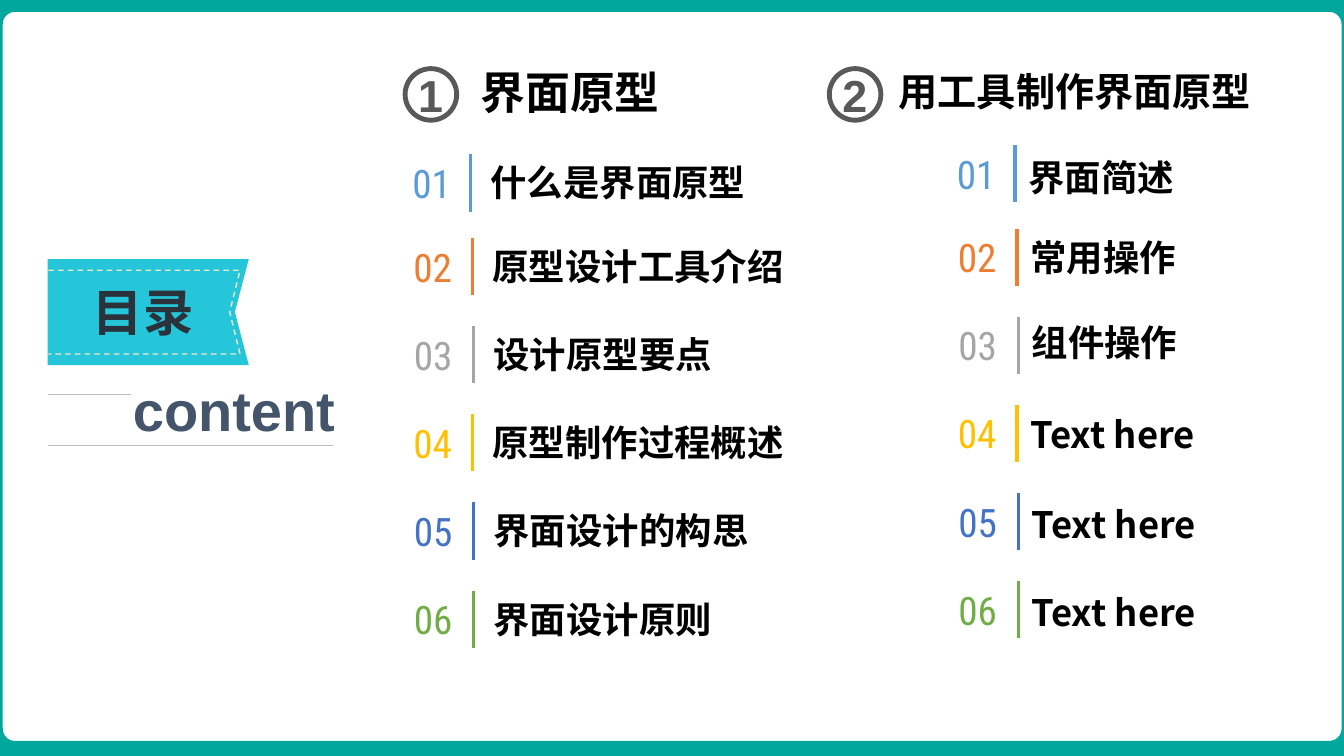
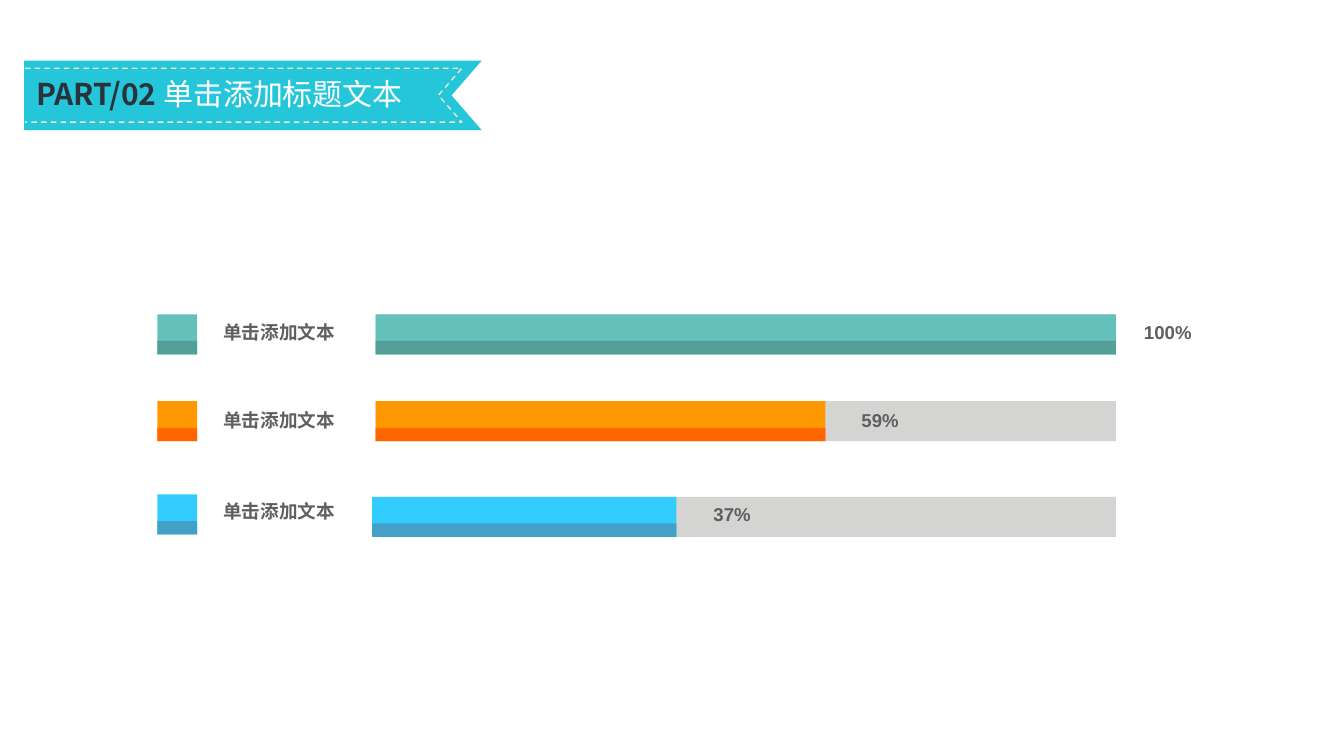
from lxml import etree
from pptx import Presentation
from pptx.dml.color import RGBColor
from pptx.enum.dml import MSO_LINE
from pptx.enum.shapes import MSO_CONNECTOR, MSO_SHAPE
from pptx.enum.text import MSO_ANCHOR, MSO_AUTO_SIZE, PP_ALIGN
from pptx.oxml.ns import qn
from pptx.util import Cm, Pt

RECT, ROUNDED, OVAL = MSO_SHAPE.RECTANGLE, MSO_SHAPE.ROUNDED_RECTANGLE, MSO_SHAPE.OVAL
TOP, MIDDLE, BOTTOM = MSO_ANCHOR.TOP, MSO_ANCHOR.MIDDLE, MSO_ANCHOR.BOTTOM
LEFT, CENTER = PP_ALIGN.LEFT, PP_ALIGN.CENTER

CJK, LATIN, CONDENSED = "Noto Sans CJK SC", "Arial", "Roboto Condensed"
RIBBON, STITCH, FRAME, INK = "26C6DA", "EDE8C8", "00A79D", "2A323B"
BLACK, WHITE, GREY, HAIRLINE = "000000", "FFFFFF", "595959", "BFBFBF"
TRACK, BAR_TEXT, SLATE = "D4D4D2", "5F5F5F", "44546A"


def paint(shape, fill=None, line=None, width=0):
    """Fill and outline a shape with hex colours, without a shadow."""
    shape.shadow.inherit = False
    if fill:
        shape.fill.solid()
        shape.fill.fore_color.rgb = RGBColor.from_string(fill)
    else:
        shape.fill.background()
    if line:
        shape.line.color.rgb = RGBColor.from_string(line)
        shape.line.width = Pt(width)
    else:
        shape.line.fill.background()


def write(box, runs, size, anchor=TOP, align=LEFT):
    """Put one line of (text, font, colour, bold) runs into a text shape."""
    frame = box.text_frame
    frame.word_wrap = False
    frame.auto_size = MSO_AUTO_SIZE.NONE
    frame.vertical_anchor = anchor
    paragraph = frame.paragraphs[0]
    paragraph.alignment = align
    for text, font, color, bold in runs:
        run = paragraph.add_run()
        run.text = text
        run.font.name = font
        run.font.size = Pt(size)
        run.font.bold = bold
        run.font.color.rgb = RGBColor.from_string(color)
        etree.SubElement(run.font._element, qn("a:ea"), typeface=CJK)


prs = Presentation()
prs.slide_width, prs.slide_height = Cm(33.87), Cm(19.05)
title_only = prs.slide_layouts[5]
contents = prs.slides.add_slide(title_only)
progress = prs.slides.add_slide(title_only)

# Contents: teal frame
frame = contents.shapes.add_shape(ROUNDED, Cm(-0.23), 0, Cm(34.34), Cm(18.97))
frame.adjustments[0] = 0.032
paint(frame, line=FRAME, width=17)

# Both slides: ribbon with dashed stitching, and the title on it
# ribbon and stitching: left, top, right, bottom, x of the notch
ribbons = [
    (contents, (1.2, 6.53, 6.27, 9.2, 5.92), (1.22, 6.81, 6.05, 8.92, 5.79),
     (2.08, 6.96, 3.2, 1.8), 36, [("目录", CJK, INK, True)]),
    (progress, (0.61, 1.53, 12.14, 3.28, 11.38), (0.63, 1.72, 11.64, 3.08, 11.05),
     (0.66, 1.78, 10.4, 1.17), 21.4,
     [("PART/02 ", CJK, INK, True), ("单击添加标题文本", LATIN, WHITE, False)]),
]
for slide, band, stitching, title_place, size, runs in ribbons:
    for outline, is_band in ((band, True), (stitching, False)):
        left, top, right, bottom, notch = outline
        corners = [(right, top), (notch, (top + bottom) / 2), (right, bottom), (left, bottom)]
        builder = slide.shapes.build_freeform(Cm(left), Cm(top))
        builder.add_line_segments([(Cm(x), Cm(y)) for x, y in corners], close=is_band)
        piece = builder.convert_to_shape()
        if is_band:
            paint(piece, fill=RIBBON)
        else:
            paint(piece, line=STITCH, width=1)
            piece.line.dash_style = MSO_LINE.DASH
    title = slide.shapes.title
    title.left, title.top, title.width, title.height = map(Cm, title_place)
    write(title, runs, size)
    title.element.getparent().append(title.element)  # bring in front of the ribbon

# Contents: subtitle between two hairlines
subtitle = contents.shapes.add_textbox(Cm(3.1), Cm(9.5), Cm(5.7), Cm(1.83))
write(subtitle, [("content", LATIN, SLATE, True)], 40, MIDDLE)
subtitle.text_frame.paragraphs[0].line_spacing = 0.9
rules = [(1.2, 9.95, 3.3, 9.95, HAIRLINE, 0.5), (1.2, 11.23, 8.4, 11.23, HAIRLINE, 0.5)]

# Contents: two chapters of six numbered sections
ROW_COLORS = ["5B9BD5", "ED7D31", "A5A5A5", "FFC000", "4472C4", "70AD47"]
ROW_TOPS = [3.89] + [6 + 2.22 * i for i in range(5)]
RULE_OFFSETS = [1.65, 1.7, 1.73, 1.7, 1.73, 1.73]
RULE_LENGTH, LABEL_HEIGHT = 1.44, 1.6

# heading, its left, top and size; badge left; numbers left; row shift; label gap;
# sections with the bottom of each label below the top of its rule
chapters = [
    ("界面原型", 11.86, 1.5, 32, 10.21, 10.21, 0, 0.25,
     [("什么是界面原型", 1.38), ("原型设计工具介绍", 1.38), ("设计原型要点", 1.38),
      ("原型制作过程概述", 1.38), ("界面设计的构思", 1.38), ("界面设计原则", 1.38)]),
    ("用工具制作界面原型", 22.4, 1.57, 28, 20.9, 23.93, -0.24, 0.09,
     [("界面简述", 1.48), ("常用操作", 1.38), ("组件操作", 1.32),
      ("Text here", 1.41), ("Text here", 1.45), ("Text here", 1.46)]),
]
for number, chapter in enumerate(chapters, 1):
    (heading, heading_left, heading_top, size,
     badge_left, column_left, shift, gap, sections) = chapter
    heading_box = contents.shapes.add_textbox(Cm(heading_left), Cm(heading_top), Cm(9.5), Cm(1.63))
    write(heading_box, [(heading, LATIN, BLACK, True)], size)
    badge = contents.shapes.add_shape(OVAL, Cm(badge_left), Cm(1.73), Cm(1.3), Cm(1.3))
    paint(badge, line=GREY, width=3.5)
    badge_number = contents.shapes.add_textbox(Cm(badge_left + 0.08), Cm(1.57), Cm(1.14), Cm(1.63))
    write(badge_number, [(str(number), LATIN, GREY, True)], 32)

    rows = zip(sections, ROW_COLORS, ROW_TOPS, RULE_OFFSETS)
    for index, ((section, label_drop), color, row_top, offset) in enumerate(rows, 1):
        top = row_top + shift
        rule_x = column_left + offset
        rules.append((rule_x, top, rule_x, top + RULE_LENGTH, color, 2.25))
        index_box = contents.shapes.add_textbox(
            Cm(column_left), Cm(top), Cm(offset - 0.31), Cm(RULE_LENGTH))
        write(index_box, [(f"{index:02}", CONDENSED, color, False)], 28, MIDDLE, CENTER)
        label = contents.shapes.add_textbox(
            Cm(rule_x + gap), Cm(top + label_drop - LABEL_HEIGHT), Cm(7.9), Cm(LABEL_HEIGHT))
        write(label, [(section, CJK, BLACK, True)], 26, BOTTOM)

for x1, y1, x2, y2, color, width in rules:
    rule = contents.shapes.add_connector(MSO_CONNECTOR.STRAIGHT, Cm(x1), Cm(y1), Cm(x2), Cm(y2))
    rule.line.color.rgb = RGBColor.from_string(color)
    rule.line.width = Pt(width)
    etree.SubElement(rule.element.spPr, qn("a:effectLst"))

# Progress: swatch, label, grey track, two-tone bar and percentage
BAR_HEIGHT, SHADE_HEIGHT, TRACK_LEFT, TRACK_WIDTH = 1.01, 0.34, 9.47, 18.65
# swatch top, bar top, bar left, bar width, label top, value, value left, value top, tones
bars = [
    (7.92, 7.92, 9.47, 18.65, 7.95, "100%", 28.58, 7.95, "64C0BA", "53A099"),
    (10.11, 10.11, 9.47, 11.33, 10.19, "59%", 21.46, 10.19, "FF9900", "FF6600"),
    (12.46, 12.52, 9.38, 7.67, 12.47, "37%", 17.73, 12.55, "33CCFF", "43A0C6"),
]
for (swatch_top, bar_top, bar_left, bar_width, label_top,
     value, value_left, value_top, tone, shade) in bars:
    blocks = [(TRACK_LEFT, bar_top, TRACK_WIDTH, BAR_HEIGHT, TRACK)]
    for left, top, width in ((3.97, swatch_top, 1), (bar_left, bar_top, bar_width)):
        blocks.append((left, top, width, BAR_HEIGHT, tone))
        blocks.append((left, top + BAR_HEIGHT - SHADE_HEIGHT, width, SHADE_HEIGHT, shade))
    for *place, color in blocks:
        paint(progress.shapes.add_shape(RECT, *map(Cm, place)), fill=color)
    for text, left, top, width in (("单击添加文本", 5.38, label_top, 3.38),
                                   (value, value_left, value_top, 1.73)):
        caption = progress.shapes.add_textbox(Cm(left), Cm(top), Cm(width), Cm(0.84))
        write(caption, [(text, LATIN, BAR_TEXT, True)], 13.3)

prs.save("out.pptx")
